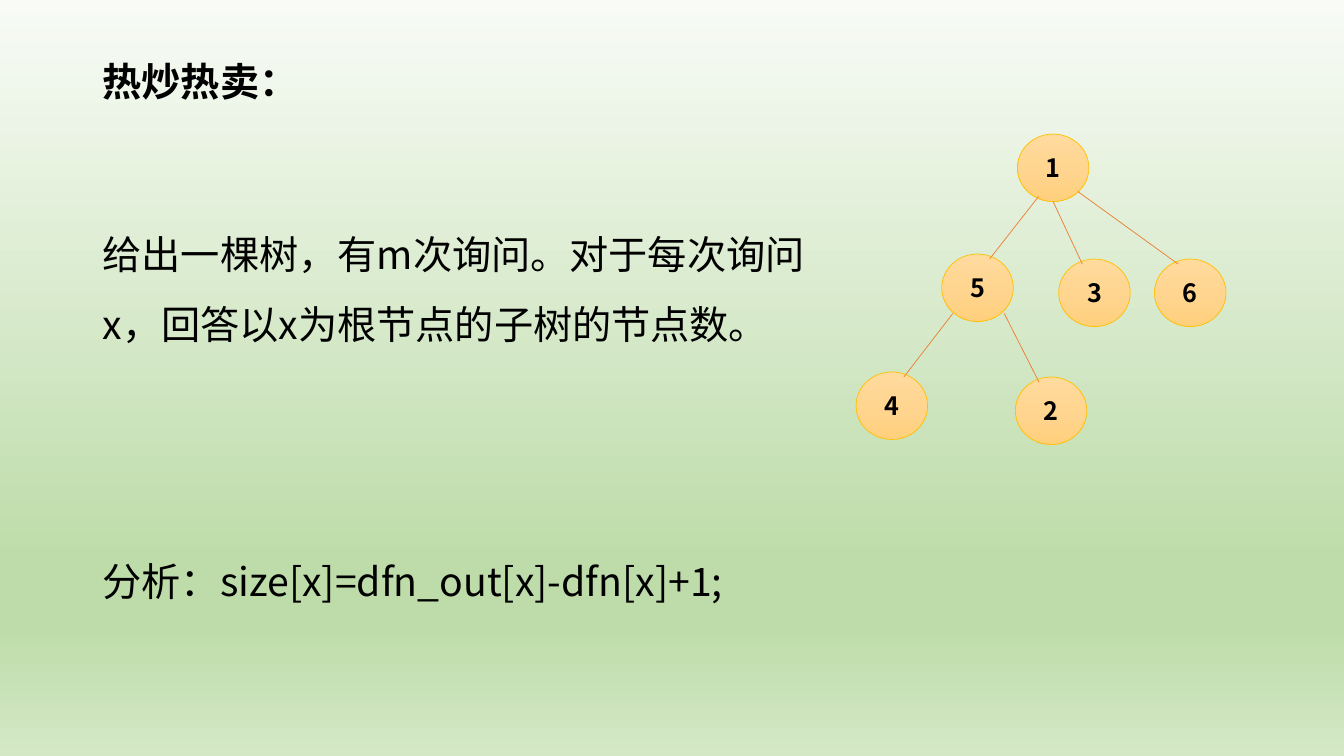
from dataclasses import dataclass
from lxml.etree import SubElement
from pptx import Presentation
from pptx.dml.color import RGBColor as RGB
from pptx.enum.shapes import MSO_CONNECTOR as LINE, MSO_SHAPE as SHAPE
from pptx.enum.text import MSO_ANCHOR as ANCHOR, PP_ALIGN as ALIGN
from pptx.oxml.ns import qn
from pptx.util import Inches, Pt

# Content
TITLE = "热炒热卖："
BODY = [  # text, space before in points
    ("给出一棵树，有m次询问。对于每次询问x，回答以x为根节点的子树的节点数。", 10),
    ("分析：size[x]=dfn_out[x]-dfn[x]+1;", 133),
]
NODES = {  # label: centre in inches
    "1": (10.445, 1.665),
    "5": (9.695, 2.855), "3": (10.855, 2.905), "6": (11.805, 2.905),
    "4": (8.845, 4.025), "2": (10.425, 4.075),
}
EDGES = [  # parent, child, offset of the line's start from the parent's centre
    ("1", "5", (-0.145, 0.285)), ("1", "3", (0, 0.335)), ("1", "6", (0.245, 0.235)),
    ("5", "4", (-0.245, 0.255)), ("5", "2", (0.265, 0.255)),
]


@dataclass(frozen=True)
class Theme:
    font: str = "Noto Sans CJK SC"
    text_size: int = 28
    node_size: int = 18
    ink: str = "000000"
    ring: str = "FFC000"
    edge: str = "ED7D31"
    stroke: float = 0.5
    background: tuple = ((0, "F8FBF6"), (74, "BEDCAA"), (83, "BEDCAA"), (100, "D4E8C6"))
    node: tuple = ((0, "FFDB9E"), (50, "FFD590"), (100, "FFD07C"))


T = Theme()
LEFT = 0.92
NODE_W, NODE_H = 0.71, 0.67
ARRIVE_X, ARRIVE_Y = 0.12, -0.285  # where a line meets its child


def gradient(fill, stops):
    """Fill from top to bottom through the given stops."""
    fill.gradient()
    fill.gradient_angle = 270
    stop_list = fill.gradient_stops[0]._gs.getparent()
    for old in list(stop_list):
        stop_list.remove(old)
    for percent, color in stops:
        gs = SubElement(stop_list, qn("a:gs"), pos=str(percent * 1000))
        SubElement(gs, qn("a:srgbClr"), val=color)


def style(p, size, bold=False):
    for r in p.runs:
        r.font.size, r.font.bold = Pt(size), bold
        r.font.color.rgb = RGB.from_string(T.ink)
        r.font.name = T.font
        SubElement(r._r.get_or_add_rPr(), qn("a:ea"), typeface=T.font)


def stroke(line, color):
    line.color.rgb = RGB.from_string(color)
    line.width = Pt(T.stroke)


def text_box(s, *box):
    tf = s.shapes.add_textbox(*map(Inches, box)).text_frame
    tf.word_wrap = True
    return tf


def add_node(s, label, x, y):
    box = (x - NODE_W / 2, y - NODE_H / 2, NODE_W, NODE_H)
    sp = s.shapes.add_shape(SHAPE.FLOWCHART_CONNECTOR, *map(Inches, box))
    sp.shadow.inherit = False
    gradient(sp.fill, T.node)
    stroke(sp.line, T.ring)
    tf = sp.text_frame
    tf.margin_left = tf.margin_right = tf.margin_top = tf.margin_bottom = 0
    tf.vertical_anchor = ANCHOR.MIDDLE
    tf.text = label
    p = tf.paragraphs[0]
    p.alignment = ALIGN.CENTER
    style(p, T.node_size, bold=True)


def add_edge(s, parent, child, start):
    (px, py), (cx, cy) = NODES[parent], NODES[child]
    side = ARRIVE_X if cx < px else -ARRIVE_X
    ends = (px + start[0], py + start[1], cx + side, cy + ARRIVE_Y)
    c = s.shapes.add_connector(LINE.STRAIGHT, *map(Inches, ends))
    stroke(c.line, T.edge)
    SubElement(c._element.spPr, qn("a:effectLst"))


def main():
    prs = Presentation()
    prs.slide_width, prs.slide_height = Inches(13.33), Inches(7.5)
    s = prs.slides.add_slide(prs.slide_layouts[6])
    gradient(s.background.fill, T.background)

    # Problem and analysis
    tf = text_box(s, LEFT, 2, 7.49, 4.48)
    tf.text = "\n".join(text for text, _ in BODY)
    for p, (_, before) in zip(tf.paragraphs, BODY):
        p.line_spacing, p.space_before = 1.5, Pt(before)
        style(p, T.text_size)

    # Title
    tf = text_box(s, LEFT, 0.4, 11.5, 0.69)
    tf.vertical_anchor = ANCHOR.BOTTOM
    tf.text = TITLE
    tf.paragraphs[0].line_spacing = 0.9
    style(tf.paragraphs[0], T.text_size, bold=True)

    # Tree
    for label, (x, y) in NODES.items():
        add_node(s, label, x, y)
    for edge in EDGES:
        add_edge(s, *edge)

    prs.save("out.pptx")


if __name__ == "__main__":
    main()
